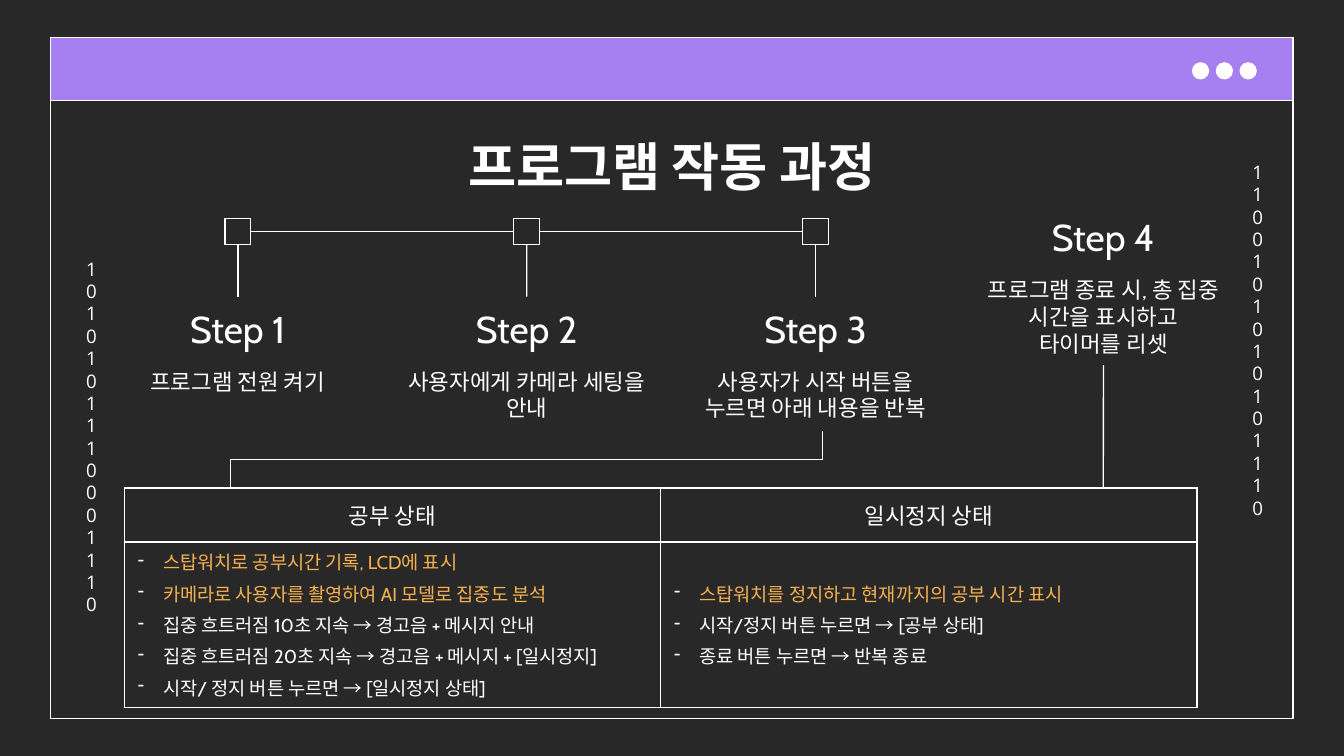
from lxml.etree import SubElement
from pptx import Presentation
from pptx.dml.color import RGBColor
from pptx.enum.shapes import MSO_CONNECTOR, MSO_SHAPE
from pptx.enum.text import MSO_ANCHOR, MSO_AUTO_SIZE, PP_ALIGN
from pptx.oxml.ns import qn
from pptx.util import Cm, Pt

COLORS = {"dark": "292828", "white": "FFFFFF", "violet": "A67FF1", "amber": "F5B150"}
STEPS = [
    ("Step 1", "프로그램 전원 켜기"),
    ("Step 2", "사용자에게 카메라 세팅을 안내"),
    ("Step 3", "사용자가 시작 버튼을 누르면 아래 내용을 반복"),
]
LAST_STEP = ("Step 4", "프로그램 종료 시, 총 집중 시간을 표시하고\n타이머를 리셋")
STATES = [
    ("공부 상태", 2, [
        "스탑워치로 공부시간 기록, LCD에 표시",
        "카메라로 사용자를 촬영하여 AI 모델로 집중도 분석",
        "집중 흐트러짐 10초 지속 → 경고음 + 메시지 안내",
        "집중 흐트러짐 20초 지속 → 경고음 + 메시지 + [일시정지]",
        "시작/ 정지 버튼 누르면 → [일시정지 상태]",
    ]),
    ("일시정지 상태", 1, [
        "스탑워치를 정지하고 현재까지의 공부 시간 표시",
        "시작/정지 버튼 누르면 → [공부 상태]",
        "종료 버튼 누르면 → 반복 종료",
    ]),
]


def color(name):
    """Return the named palette colour."""
    return RGBColor.from_string(COLORS[name])


def write(para, text, size, tint="white", font="Cabin", bold=False, align=PP_ALIGN.CENTER):
    """Fill a paragraph and format its runs."""
    para.text = text
    para.alignment = align
    for span in para.runs:
        span.font.name = font
        span.font.size = Pt(size)
        span.font.bold = bold
        span.font.color.rgb = color(tint)


def set_frame(frame, anchor=MSO_ANCHOR.TOP):
    """Give a text frame wrapping, even insets and an anchor."""
    frame.word_wrap = True
    frame.auto_size = MSO_AUTO_SIZE.NONE
    frame.vertical_anchor = anchor
    frame.margin_left = frame.margin_right = Cm(0.25)
    frame.margin_top = frame.margin_bottom = Cm(0.25)


def add_text(page, left, top, width, height, text, size, anchor=MSO_ANCHOR.TOP, font="Cabin"):
    """Add a centred text box."""
    box = page.shapes.add_textbox(Cm(left), Cm(top), Cm(width), Cm(height))
    set_frame(box.text_frame, anchor)
    write(box.text_frame.paragraphs[0], text, size, font=font)
    return box


def add_outlined(page, kind, left, top, width, height, fill=None):
    """Add a white-outlined shape with an optional fill."""
    shape = page.shapes.add_shape(kind, Cm(left), Cm(top), Cm(width), Cm(height))
    shape.shadow.inherit = False
    if fill:
        shape.fill.solid()
        shape.fill.fore_color.rgb = color(fill)
    else:
        shape.fill.background()
    shape.line.color.rgb = color("white")
    shape.line.width = Pt(0.75)
    return shape


def add_line(page, x1, y1, x2, y2, kind=MSO_CONNECTOR.STRAIGHT):
    """Add a thin white connector without shadow."""
    line = page.shapes.add_connector(kind, Cm(x1), Cm(y1), Cm(x2), Cm(y2))
    line.line.color.rgb = color("white")
    line.line.width = Pt(0.75)
    SubElement(line._element.spPr, qn("a:effectLst"))
    return line


def join(page, first, first_site, second, second_site):
    """Connect two shapes at the given sides."""
    line = add_line(page, 0, 0, 1, 1)
    line.begin_connect(first, first_site)
    line.end_connect(second, second_site)


def add_elbow(page, x1, y1, x2, y2):
    """Add a down-across-down connector that runs to the left."""
    middle_x, middle_y = (x1 + x2) / 2, (y1 + y2) / 2
    run, drop = x1 - x2, y2 - y1
    elbow = add_line(page, middle_x - drop / 2, middle_y - run / 2,
                     middle_x + drop / 2, middle_y + run / 2, MSO_CONNECTOR.ELBOW)
    elbow._element.spPr.find(qn("a:xfrm")).set("rot", str(90 * 60000))


def add_window(page, left, top, width, height):
    """Draw the window frame, its title bar and three buttons."""
    bar, dot = 1.19, 0.3
    add_outlined(page, MSO_SHAPE.RECTANGLE, left, top, width, height)
    add_outlined(page, MSO_SHAPE.RECTANGLE, left, top, width, bar, "violet")
    for index in range(3):
        add_outlined(page, MSO_SHAPE.OVAL, left + width - 1.9 + 0.45 * index,
                     top + 0.48, dot, dot, "white")


def add_digits(page, left, top, width, height, digits):
    """Stack binary digits in a column one character wide."""
    box = add_text(page, left, top, width, height, digits, 10, font="Open Sans")
    box.text_frame.paragraphs[0].line_spacing = Pt(12)


def add_title(page, left, top, width, height, text):
    """Place and format the title placeholder."""
    title = page.shapes.title
    title.left, title.top, title.width, title.height = Cm(left), Cm(top), Cm(width), Cm(height)
    set_frame(title.text_frame)
    write(title.text_frame.paragraphs[0], text, 28, bold=True)


def add_step(page, left, top, width, height, step):
    """Place a step heading above its description and return both boxes."""
    name, description = step
    heading = add_text(page, left, top, width, 1.27, name, 20, MSO_ANCHOR.BOTTOM)
    body = add_text(page, left, top + 1.09, width, height - 1.09, description, 12)
    return heading, body


def add_timeline(page, left, top, width, height, pitch):
    """Place the linked markers with a step under each."""
    size, previous = 0.49, None
    for index, step in enumerate(STEPS):
        x = left + pitch * index
        marker = add_outlined(page, MSO_SHAPE.RECTANGLE, x + (width - size) / 2, top,
                              size, size, "dark")
        heading, _ = add_step(page, x, top + 1.48, width, height - 1.48, step)
        join(page, marker, 2, heading, 0)
        if previous:
            join(page, previous, 3, marker, 1)
        previous = marker


def add_borders(cell):
    """Draw white borders on all sides of a cell without fill."""
    properties = cell._tc.get_or_add_tcPr()
    for side in ("a:lnL", "a:lnR", "a:lnT", "a:lnB"):
        line = SubElement(properties, qn(side), w=str(Pt(1)))
        SubElement(SubElement(line, qn("a:solidFill")), qn("a:srgbClr"), val=COLORS["white"])
    cell.fill.background()
    cell.vertical_anchor = MSO_ANCHOR.MIDDLE


def add_bullet(para):
    """Give a paragraph a white dash with a hanging indent."""
    properties = para._p.get_or_add_pPr()
    properties.set("marL", str(Cm(0.48)))
    properties.set("indent", str(-Cm(0.48)))
    tint = SubElement(properties, qn("a:buClr"))
    SubElement(tint, qn("a:srgbClr"), val=COLORS["white"])
    SubElement(properties, qn("a:buChar"), char="-")


def add_states(page, left, top, width, height):
    """Place the table that describes both states."""
    table = page.shapes.add_table(2, len(STATES), Cm(left), Cm(top), Cm(width), Cm(height)).table
    table.first_row = table.horz_banding = False
    table.rows[0].height, table.rows[1].height = Cm(1.02), Cm(height - 1.02)
    for column, (name, highlighted, lines) in enumerate(STATES):
        header, body = table.cell(0, column), table.cell(1, column)
        add_borders(header)
        add_borders(body)
        write(header.text_frame.paragraphs[0], name, 12)
        body.text_frame.text = "\n".join(lines)
        for index, (para, text) in enumerate(zip(body.text_frame.paragraphs, lines)):
            add_bullet(para)
            write(para, text, 10, "amber" if index < highlighted else "white", align=PP_ALIGN.LEFT)
            para.space_before = Pt(1.2 if index else 0)
            para.space_after = Pt(1.2)


def main():
    """Build and save the deck."""
    deck = Presentation()
    deck.slide_width, deck.slide_height = Cm(25.4), Cm(14.29)
    page = deck.slides.add_slide(deck.slide_layouts[5])
    page.background.fill.solid()
    page.background.fill.fore_color.rgb = color("dark")
    add_window(page, 0.96, 0.71, 23.48, 12.87)
    add_digits(page, 23.42, 2.79, 0.6, 7.11, "1100101010101110")
    add_digits(page, 1.38, 4.62, 0.6, 7.11, "1010101110001110")
    add_title(page, 2, 2.29, 21.4, 1.6, "프로그램 작동 과정")
    add_timeline(page, 1.98, 4.13, 5.03, 4.03, 5.46)
    _, ending = add_step(page, 18.34, 3.88, 5.03, 3.02, LAST_STEP)
    add_line(page, 20.85, 6.9, 20.85, 9.22).begin_connect(ending, 2)
    add_elbow(page, 15.54, 8.15, 4.36, 9.22)
    add_states(page, 2.35, 9.22, 20.27, 4.04)
    deck.save("out.pptx")


if __name__ == "__main__":
    main()
